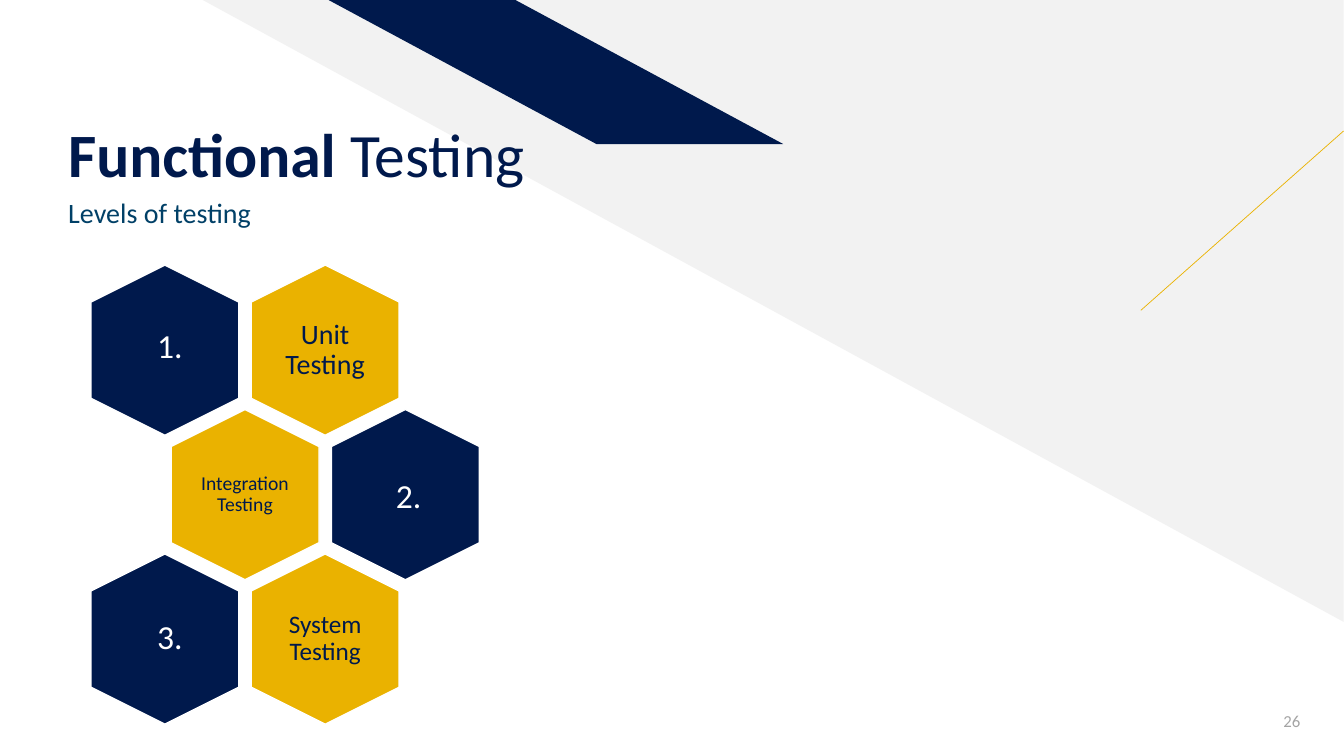
"""Build the functional testing slide with its honeycomb of test levels."""
from dataclasses import dataclass

from lxml import etree
from pptx import Presentation, util as u
from pptx.dml.color import RGBColor
from pptx.enum import shapes as sh, text as tx
from pptx.oxml.ns import qn

HUES = {
    "navy": "00194C", "gold": "EAB200", "pale": "F2F2F2",
    "teal": "014067", "grey": "A5A5A5", "white": "FFFFFF",
}
FONT = "Calibri"
LEFT, TOP = 2.01, 6.96
STEP, DROP = 4.04, 3.64
HEX_W, HEX_H = 4.29, 3.73
TEXT_W, TEXT_H = 2.57, 2.95


@dataclass
class Box:
    x: float
    y: float
    w: float
    h: float

    def emu(self) -> list[int]:
        """Return the four lengths for python-pptx."""
        return [u.Cm(v) for v in (self.x, self.y, self.w, self.h)]


@dataclass
class Label:
    box: Box
    words: str
    size: float
    hue: str
    align: tx.PP_ALIGN = tx.PP_ALIGN.LEFT
    anchor: tx.MSO_ANCHOR = tx.MSO_ANCHOR.TOP
    space: float = 1.0
    inset: tuple = (0.25, 0.13, 0.25, 0.13)
    wrap: bool = True
    bold: bool = False
    tail: str = ""


@dataclass
class Level:
    words: str
    size: int
    num_x: float
    num_y: float


LEVELS = [
    Level("Unit Testing", 20, 3.71, 8.05),
    Level("Integration Testing", 14, 9.73, 11.84),
    Level("System Testing", 18, 3.71, 15.39),
]


def tint(hue: str) -> RGBColor:
    """Look up a named colour."""
    return RGBColor.from_string(HUES[hue])


def block(slide, kind: sh.MSO_SHAPE, box: Box, hue: str, edge: str = ""):
    """Draw a filled preset shape, with an edge if one is named."""
    shape = slide.shapes.add_shape(kind, *box.emu())
    shape.shadow.inherit = False
    shape.fill.solid()
    shape.fill.fore_color.rgb = tint(hue)
    if edge:
        shape.line.color.rgb = tint(edge)
        shape.line.width = u.Pt(1)
    else:
        shape.line.fill.background()
    return shape


def write(slide, label: Label) -> None:
    """Place one text label."""
    frame = slide.shapes.add_textbox(*label.box.emu()).text_frame
    frame.word_wrap = label.wrap
    frame.vertical_anchor = label.anchor
    (frame.margin_left, frame.margin_top,
     frame.margin_right, frame.margin_bottom) = map(u.Cm, label.inset)
    para = frame.paragraphs[0]
    para.text = label.words
    para.alignment = label.align
    para.line_spacing = label.space
    if label.tail:
        para.add_run().text = label.tail
    for i, run in enumerate(para.runs):
        run.font.name = FONT
        run.font.size = u.Pt(label.size)
        run.font.color.rgb = tint(label.hue)
        run.font.bold = label.bold and i == 0


def backdrop(slide) -> None:
    """Draw the triangle, the band and the thin line."""
    wedge = block(slide, sh.MSO_SHAPE.RIGHT_TRIANGLE,
                  Box(5.11, 0, 28.75, 15.67), "pale")
    wedge.rotation = 180
    band = block(slide, sh.MSO_SHAPE.PARALLELOGRAM,
                 Box(8.28, 0, 11.46, 3.63), "navy")
    band.adjustments[0] = 1.86
    band._element.spPr.xfrm.set("flipH", "1")
    line = slide.shapes.add_connector(
        sh.MSO_CONNECTOR.STRAIGHT,
        u.Cm(28.75), u.Cm(7.82), u.Cm(33.86), u.Cm(3.3))
    line.line.color.rgb = tint("gold")
    line.line.width = u.Pt(0.5)
    etree.SubElement(line._element.spPr, qn("a:effectLst"))


def comb(slide) -> None:
    """Draw each level as a numbered navy cell beside a gold one."""
    for row, level in enumerate(LEVELS):
        odd = row % 2
        y = TOP + row * DROP
        for col in range(2):
            x = LEFT + col * STEP + odd * STEP / 2
            named = col != odd
            cell = block(slide, sh.MSO_SHAPE.HEXAGON, Box(x, y, HEX_W, HEX_H),
                         "gold" if named else "navy", "white")
            cell.adjustments[0] = 0.25
            cell.rotation = 90
            if named:
                box = Box(x + (HEX_W - TEXT_W) / 2, y + (HEX_H - TEXT_H) / 2,
                          TEXT_W, TEXT_H)
                write(slide, Label(box, level.words, level.size, "navy",
                                   tx.PP_ALIGN.CENTER, tx.MSO_ANCHOR.MIDDLE,
                                   0.9, (level.size / 100,) * 4))
        write(slide, Label(Box(level.num_x, level.num_y, 1.17, 1.28),
                           f"{row + 1}.", 24, "white", wrap=False))


def main() -> None:
    """Build and save the deck."""
    deck = Presentation()
    deck.slide_width, deck.slide_height = u.Cm(33.87), u.Cm(19.05)
    slide = deck.slides.add_slide(deck.slide_layouts[6])
    backdrop(slide)
    comb(slide)
    write(slide, Label(Box(1.47, 1.42, 20.4, 3.38), "Functional ", 44, "navy",
                       anchor=tx.MSO_ANCHOR.BOTTOM, space=0.9,
                       inset=(0.25, 0.13, 0.25, 0), bold=True, tail="Testing"))
    write(slide, Label(Box(1.47, 4.9, 20.4, 1.7), "Levels of testing", 20,
                       "teal", space=0.9))
    write(slide, Label(Box(30.96, 17.65, 2.06, 1.02), "26", 12, "grey",
                       tx.PP_ALIGN.RIGHT, tx.MSO_ANCHOR.MIDDLE))
    deck.save("out.pptx")


if __name__ == "__main__":
    main()
